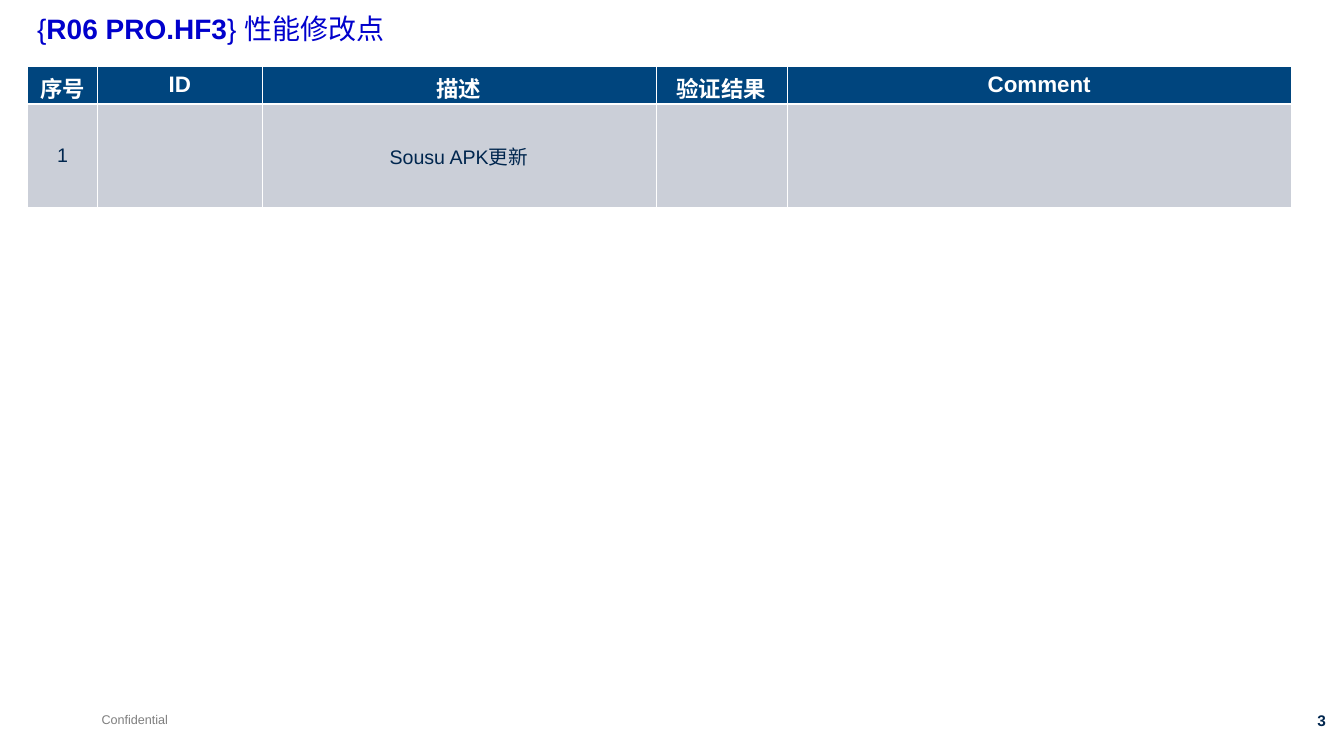
import pptx
import pptx.util
import pptx.dml.color
import pptx.enum.text
import pptx.oxml.ns
import lxml.etree

Inches = pptx.util.Inches
Pt = pptx.util.Pt
RGBColor = pptx.dml.color.RGBColor
ALIGN = pptx.enum.text.PP_ALIGN
BLUE = RGBColor(0x00, 0x00, 0xCC)
NAVY = RGBColor(0x00, 0x45, 0x7E)
DARK = RGBColor(0x00, 0x26, 0x4E)
GRAY = RGBColor(0x7F, 0x7F, 0x7F)
PALE = RGBColor(0xCB, 0xCF, 0xD8)
WHITE = RGBColor(0xFF, 0xFF, 0xFF)
THIN, THICK = 0.45, 1.47
COLS = [0.7, 1.63, 3.91, 1.3, 5.01]
ROWS = [0.37, 1.03]
HEAD = ["序号", "ID", "描述", "验证结果", "Comment"]
BODY = ["1", "", "Sousu APK更新", "", ""]


def add_run(para, text, size, color, bold=False):
    """Add one styled run to a paragraph."""
    run = para.add_run()
    run.text = text
    run.font.name = "Arial"
    run.font.size = Pt(size)
    run.font.bold = bold
    run.font.color.rgb = color


def add_text(slide, box, runs, size, color, align=ALIGN.LEFT, wrap=True):
    """Place a one-line text box and return its paragraph."""
    frame = slide.shapes.add_textbox(*map(Inches, box)).text_frame
    frame.word_wrap = wrap
    para = frame.paragraphs[0]
    para.alignment = align
    for text, bold in runs:
        add_run(para, text, size, color, bold)
    return para


def add_edge(cell, side, width):
    """Draw a white border on one side of a cell."""
    props = cell._tc.get_or_add_tcPr()
    line = lxml.etree.SubElement(props, pptx.oxml.ns.qn("a:ln" + side), w=str(Pt(width)))
    fill = lxml.etree.SubElement(line, pptx.oxml.ns.qn("a:solidFill"))
    lxml.etree.SubElement(fill, pptx.oxml.ns.qn("a:srgbClr"), val=str(WHITE))


def add_title(slide, box):
    """Place the slide title."""
    runs = [("{", False), ("R06 PRO.HF3", True), ("} 性能修改点", False)]
    add_text(slide, box, runs, 20, BLUE).line_spacing = 0.9


def add_grid(slide, left, top):
    """Place the table of changes."""
    box = map(Inches, (left, top, sum(COLS), sum(ROWS)))
    table = slide.shapes.add_table(len(ROWS), len(COLS), *box).table
    for col, width in zip(table.columns, COLS):
        col.width = Inches(width)
    styles = [(HEAD, 16, WHITE, True, NAVY, THIN, THICK),
              (BODY, 14, DARK, False, PALE, THICK, THIN)]
    for row, height, style in zip(table.rows, ROWS, styles):
        row.height = Inches(height)
        texts, size, color, bold, back, above, below = style
        for cell, text in zip(row.cells, texts):
            for side, width in zip("LRTB", (THIN, THIN, above, below)):
                add_edge(cell, side, width)
            cell.fill.solid()
            cell.fill.fore_color.rgb = back
            cell.vertical_anchor = pptx.enum.text.MSO_ANCHOR.MIDDLE
            para = cell.text_frame.paragraphs[0]
            para.alignment = ALIGN.CENTER
            if text:
                add_run(para, text, size, color, bold)


def add_foot(slide, top):
    """Place the footer note and the page number."""
    add_text(slide, (0.91, top, 0.86, 0.25), [("Confidential", False)], 9, GRAY, wrap=False)
    add_text(slide, (12.32, top, 0.94, 0.29), [("3", True)], 11, DARK, ALIGN.RIGHT)


def main():
    """Build the slide and save it."""
    deck = pptx.Presentation()
    deck.slide_width, deck.slide_height = Inches(13.34), Inches(7.5)
    slide = deck.slides.add_slide(deck.slide_layouts[6])
    add_foot(slide, 7.01)
    add_title(slide, (0.27, 0.1, 11.85, 0.63))
    add_grid(slide, 0.27, 0.66)
    deck.save("out.pptx")


if __name__ == "__main__":
    main()
